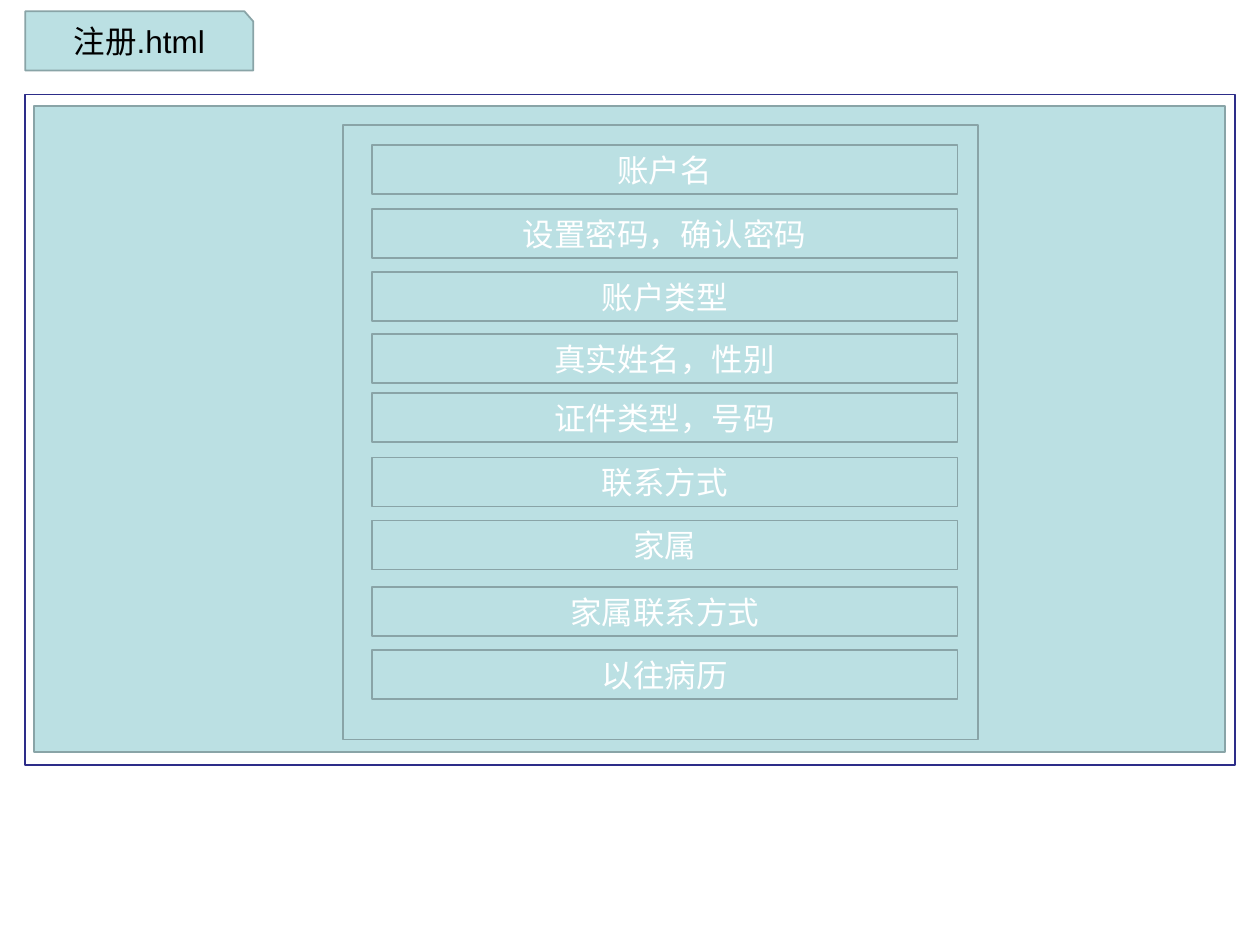
from pptx import Presentation
from pptx.dml.color import RGBColor
from pptx.enum.shapes import MSO_SHAPE
from pptx.enum.text import MSO_ANCHOR, PP_ALIGN
from pptx.util import Inches, Pt


def style(sp, fill="BBE0E3", line="89A4A7"):
    sp.shadow.inherit = False
    sp.fill.solid()
    sp.fill.fore_color.rgb = RGBColor.from_string(fill)
    sp.line.color.rgb = RGBColor.from_string(line)
    sp.line.width = Pt(1)


def write(sp, text, color):
    tf = sp.text_frame
    tf.word_wrap = True
    tf.vertical_anchor = MSO_ANCHOR.MIDDLE
    p = tf.paragraphs[0]
    p.alignment = PP_ALIGN.CENTER
    r = p.add_run()
    r.text = text
    r.font.size = Pt(18)
    r.font.name = "Arial"
    r.font.color.rgb = RGBColor.from_string(color)


prs = Presentation()
prs.slide_width = Inches(10)
prs.slide_height = Inches(7.5)
s = prs.slides.add_slide(prs.slide_layouts[6])

panels = [
    (0.2, 0.75, 9.6, 5.32, "FFFFFF", "2D2D89"),
    (0.27, 0.84, 9.45, 5.13, "BBE0E3", "89A4A7"),
    (2.72, 0.99, 5.04, 4.88, "BBE0E3", "89A4A7"),
]
for left, top, width, height, fill, line in panels:
    sp = s.shapes.add_shape(MSO_SHAPE.RECTANGLE, Inches(left), Inches(top), Inches(width), Inches(height))
    style(sp, fill, line)

fb = s.shapes.build_freeform(Inches(0.2), Inches(0.09))
corners = [(1.94, 0.09), (2.01, 0.17), (2.01, 0.56), (0.2, 0.56)]
fb.add_line_segments([(Inches(x), Inches(y)) for x, y in corners], close=True)
tab = fb.convert_to_shape()
style(tab)
write(tab, "注册.html", "000000")

fields = [
    (1.15, "账户名"),
    (1.66, "设置密码，确认密码"),
    (2.16, "账户类型"),
    (2.65, "真实姓名，性别"),
    (3.12, "证件类型，号码"),
    (3.63, "联系方式"),
    (4.13, "家属"),
    (4.66, "家属联系方式"),
    (5.16, "以往病历"),
]
for top, label in fields:
    sp = s.shapes.add_shape(MSO_SHAPE.RECTANGLE, Inches(2.95), Inches(top), Inches(4.65), Inches(0.39))
    style(sp)
    write(sp, label, "FFFFFF")

prs.save("out.pptx")
